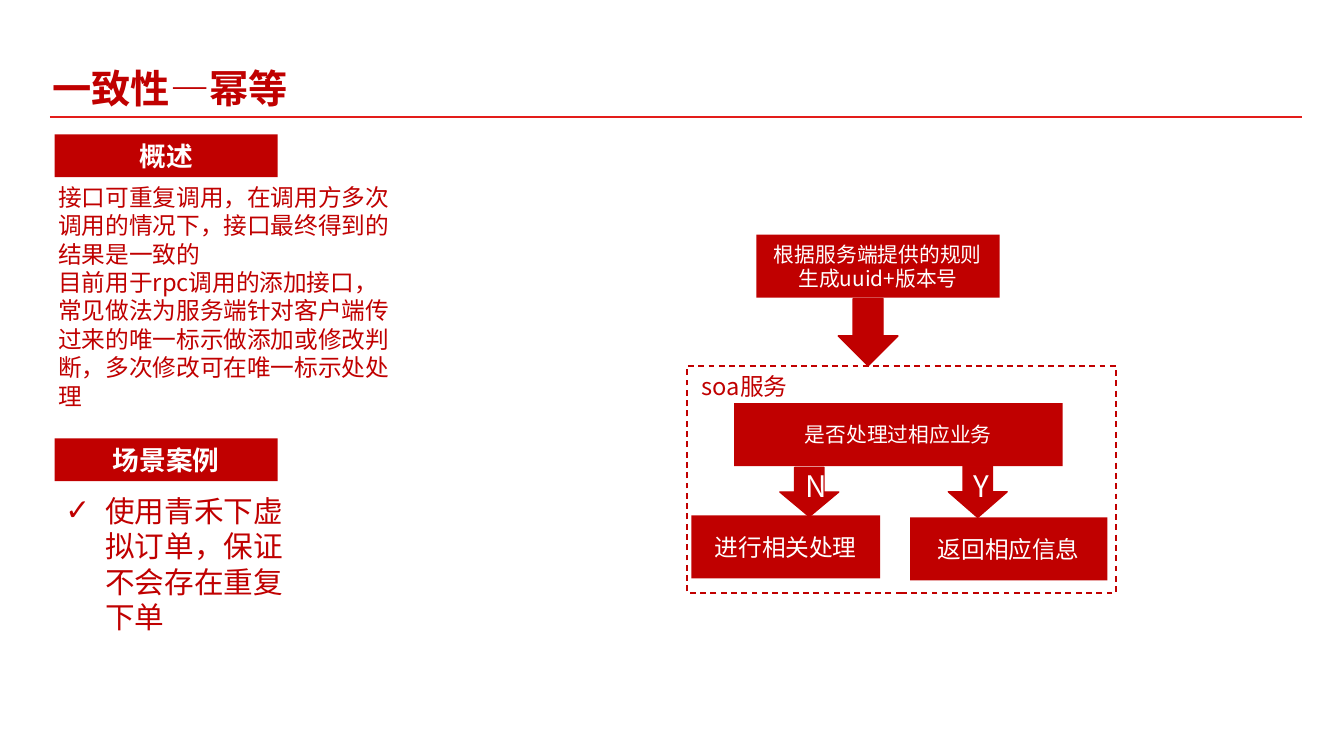
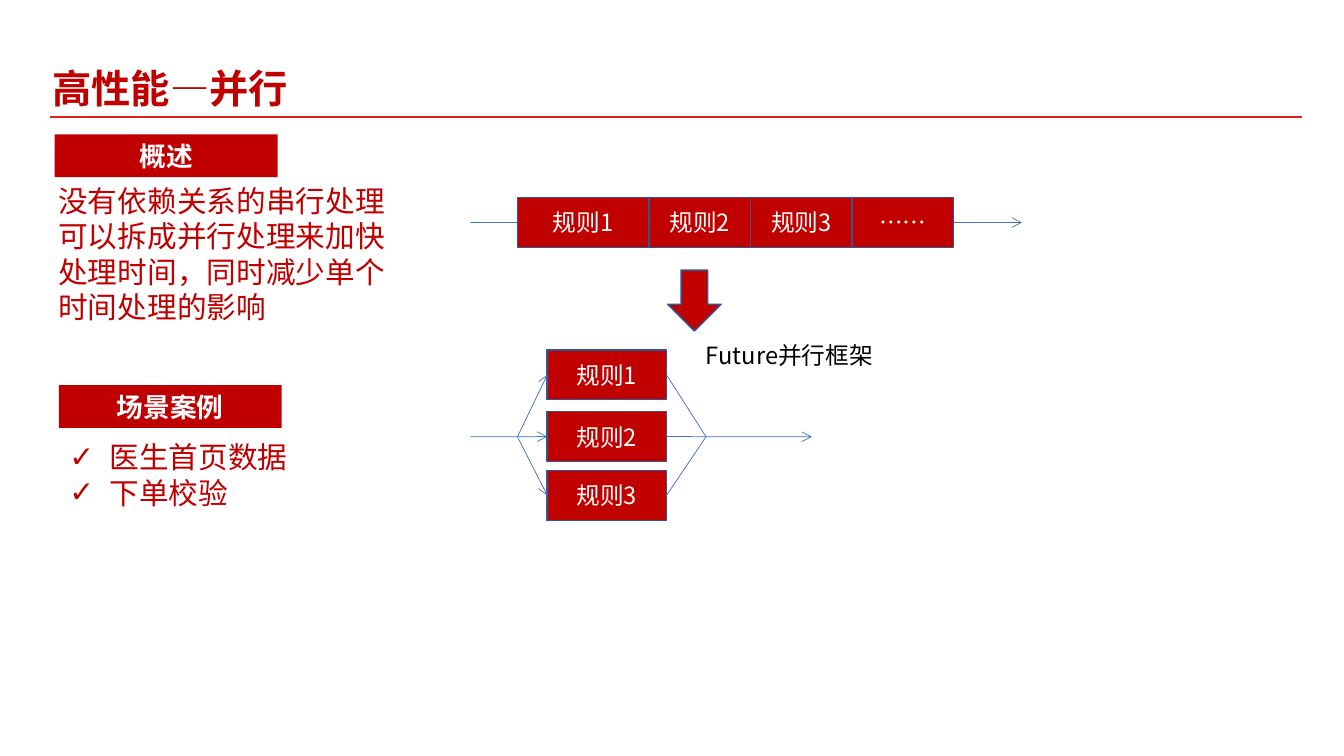
import dataclasses
import itertools
import typing

import lxml.etree
import pptx
import pptx.dml.color
import pptx.enum.dml
import pptx.enum.shapes
import pptx.enum.text
import pptx.oxml.ns
import pptx.shapes.autoshape
import pptx.slide
import pptx.text.text
import pptx.util

Cm = pptx.util.Cm
Pt = pptx.util.Pt
RGB = pptx.dml.color.RGBColor
Kind = pptx.enum.shapes.MSO_SHAPE
Align = pptx.enum.text.PP_ALIGN
Anchor = pptx.enum.text.MSO_ANCHOR
Slide = pptx.slide.Slide
Shape = pptx.shapes.autoshape.Shape
qn = pptx.oxml.ns.qn

RED = RGB(0xC0, 0x00, 0x00)
DEEP = RGB(0xC1, 0x00, 0x00)
BRIGHT = RGB(0xE3, 0x1D, 0x1A)
NAVY = RGB(0x32, 0x54, 0x91)
BLUE = RGB(0x44, 0x72, 0xC4)
WHITE = RGB(0xFF, 0xFF, 0xFF)
BLACK = RGB(0x00, 0x00, 0x00)
FONT = "Noto Sans CJK SC"


class Area(typing.NamedTuple):
    x: float
    y: float
    w: float
    h: float


class Point(typing.NamedTuple):
    x: float
    y: float


class Joint(typing.NamedTuple):
    shape: Shape
    side: int


End = Point | Joint


@dataclasses.dataclass(frozen=True)
class Look:
    size: float
    color: RGB = WHITE
    bold: bool = False
    align: Align = Align.CENTER
    anchor: Anchor = Anchor.MIDDLE


@dataclasses.dataclass(frozen=True)
class Block:
    area: Area
    text: str = ""
    look: Look = Look(16)
    kind: Kind = Kind.RECTANGLE
    fill: RGB | None = RED
    line: RGB | None = None
    dash: bool = False


@dataclasses.dataclass(frozen=True)
class Page:
    title: str
    about: str
    size: float
    case: Point
    items: str


TITLE = Look(26.5, RED, True, Align.LEFT)
BADGE = Look(18, bold=True)
LIST = Look(20, RED, align=Align.LEFT, anchor=Anchor.TOP)
NOTE = Look(16, RED, align=Align.LEFT, anchor=Anchor.TOP)


def write(frame: pptx.text.text.TextFrame, text: str, look: Look) -> None:
    frame.text = text
    frame.word_wrap = True
    frame.auto_size = pptx.enum.text.MSO_AUTO_SIZE.NONE
    frame.vertical_anchor = look.anchor
    for para in frame.paragraphs:
        para.alignment = look.align
        para.space_before = Pt(0)
        for run in para.runs:
            font = run.font
            font.size = Pt(look.size)
            font.bold = look.bold
            font.color.rgb = look.color
            font.name = FONT
            east = lxml.etree.SubElement(font._element, qn("a:ea"))
            east.set("typeface", FONT)


def place(shape: Shape, area: Area) -> None:
    shape.left, shape.top, shape.width, shape.height = map(Cm, area)


def draw(slide: Slide, block: Block) -> Shape:
    shape = slide.shapes.add_shape(block.kind, *map(Cm, block.area))
    shape.shadow.inherit = False
    if block.fill is None:
        shape.fill.background()
    else:
        shape.fill.solid()
        shape.fill.fore_color.rgb = block.fill
    if block.line is None:
        shape.line.fill.background()
    else:
        shape.line.color.rgb = block.line
        shape.line.width = Pt(1)
    if block.dash:
        shape.line.dash_style = pptx.enum.dml.MSO_LINE.DASH
    if block.text:
        write(shape.text_frame, block.text, block.look)
    return shape


def label(slide: Slide, area: Area, text: str, look: Look) -> None:
    box = slide.shapes.add_textbox(*map(Cm, area))
    write(box.text_frame, text, look)


def link(slide: Slide, start: End, stop: End, arrow: bool = False,
         color: RGB = BLUE, width: float = 0.5) -> None:
    ends = [end if isinstance(end, Point) else Point(0, 0) for end in (start, stop)]
    line = slide.shapes.add_connector(
        pptx.enum.shapes.MSO_CONNECTOR.STRAIGHT, *map(Cm, itertools.chain(*ends)))
    if isinstance(start, Joint):
        line.begin_connect(*start)
    if isinstance(stop, Joint):
        line.end_connect(*stop)
    line.line.color.rgb = color
    line.line.width = Pt(width)
    if arrow:
        tail = lxml.etree.SubElement(line.line._get_or_add_ln(), qn("a:tailEnd"))
        tail.set("type", "arrow")
    lxml.etree.SubElement(line._element.spPr, qn("a:effectLst"))


def check(frame: pptx.text.text.TextFrame) -> None:
    for para in frame.paragraphs:
        props = para._p.get_or_add_pPr()
        props.set("marL", str(Cm(0.95)))
        props.set("indent", str(-Cm(0.95)))
        mark = lxml.etree.SubElement(props, qn("a:buChar"))
        mark.set("char", "✓")


def start(deck: pptx.presentation.Presentation, page: Page) -> Slide:
    slide = deck.slides.add_slide(deck.slide_layouts[1])
    link(slide, Point(1.19, 2.79), Point(31.01, 2.79), color=BRIGHT, width=1.5)
    title = slide.shapes.title
    place(title, Area(0.99, 1.6, 9.83, 1.19))
    write(title.text_frame, page.title, TITLE)
    title.text_frame.paragraphs[0].line_spacing = 0.8
    title.text_frame.paragraphs[0].space_before = Pt(9.4)
    for spot, text in ((Point(1.3, 3.2), "概述"), (page.case, "场景案例")):
        draw(slide, Block(Area(*spot, 5.31, 1.02), text, BADGE))
    label(slide, Area(1.14, 4.22, 8.66, 5.74), page.about,
          dataclasses.replace(NOTE, size=page.size))
    body = slide.placeholders[1]
    place(body, Area(page.case.x, page.case.y + 1.16, 6.4, 2.82))
    write(body.text_frame, page.items, LIST)
    check(body.text_frame)
    return slide


def repeat(deck: pptx.presentation.Presentation) -> None:
    slide = start(deck, Page(
        "一致性—幂等",
        "接口可重复调用，在调用方多次调用的情况下，接口最终得到的结果是一致的\n"
        "目前用于rpc调用的添加接口，常见做法为服务端针对客户端传过来的唯一标示"
        "做添加或修改判断，多次修改可在唯一标示处处理",
        16, Point(1.3, 10.44), "使用青禾下虚拟订单，保证不会存在重复下单"))
    small, large = Look(14), Look(20)
    down = Kind.DOWN_ARROW
    for block in (
        Block(Area(18.01, 5.59, 5.79, 1.5), "根据服务端提供的规则生成uuid+版本号", small),
        Block(Area(16.46, 12.27, 4.5, 1.5), "进行相关处理"),
        Block(Area(17.48, 9.6, 7.82, 1.5), "是否处理过相应业务", small),
        Block(Area(21.67, 12.32, 4.7, 1.5), "返回相应信息"),
        Block(Area(16.36, 8.71, 10.21, 5.41), fill=None, line=DEEP, dash=True),
        Block(Area(19.96, 7.11, 1.42, 1.6), kind=down, line=DEEP),
        Block(Area(18.57, 11.13, 1.4, 1.17), "N", large, down, line=DEEP),
        Block(Area(22.58, 11.1, 1.4, 1.22), "Y", large, down, line=DEEP),
    ):
        draw(slide, block)
    label(slide, Area(16.46, 8.74, 2.59, 0.94), "soa服务", NOTE)


def spread(deck: pptx.presentation.Presentation) -> None:
    slide = start(deck, Page(
        "高性能—并行",
        "没有依赖关系的串行处理可以拆成并行处理来加快处理时间，同时减少单个时间处理的影响",
        20, Point(1.4, 9.17), "医生首页数据\n下单校验"))
    rules = ["规则1", "规则2", "规则3"]

    def rule(x: float, y: float, w: float, text: str) -> Shape:
        return draw(slide, Block(Area(x, y, w, 1.19), text, fill=DEEP, line=NAVY))

    wides = [3.13, 2.42, 2.42, 2.42]
    lefts = itertools.accumulate(wides, initial=12.32)
    chain = [rule(x, 4.7, w, text)
             for x, w, text in zip(lefts, wides, rules + ["……"])]
    link(slide, Point(11.2, 5.3), Joint(chain[0], 1))
    link(slide, Joint(chain[-1], 3), Point(24.33, 5.3), True)

    draw(slide, Block(Area(15.9, 6.43, 1.27, 1.45), kind=Kind.DOWN_ARROW,
                      fill=DEEP, line=NAVY))
    label(slide, Area(16.56, 8, 5.08, 0.94), "Future并行框架",
          dataclasses.replace(NOTE, color=BLACK))

    stack = [rule(13.03, y, 2.84, text)
             for y, text in zip((8.33, 9.8, 11.2), rules)]
    mid = 10.4
    first, centre, last = stack
    link(slide, Point(11.2, mid), Joint(centre, 1), True)
    link(slide, Joint(centre, 3), Point(19.33, mid), True)
    for outer in (first, last):
        link(slide, Point(12.32, mid), Joint(outer, 1), True)
        link(slide, Joint(outer, 3), Point(16.81, mid))


def main() -> None:
    deck = pptx.Presentation()
    deck.slide_width, deck.slide_height = Cm(32), Cm(18)
    repeat(deck)
    spread(deck)
    deck.save("out.pptx")


if __name__ == "__main__":
    main()
